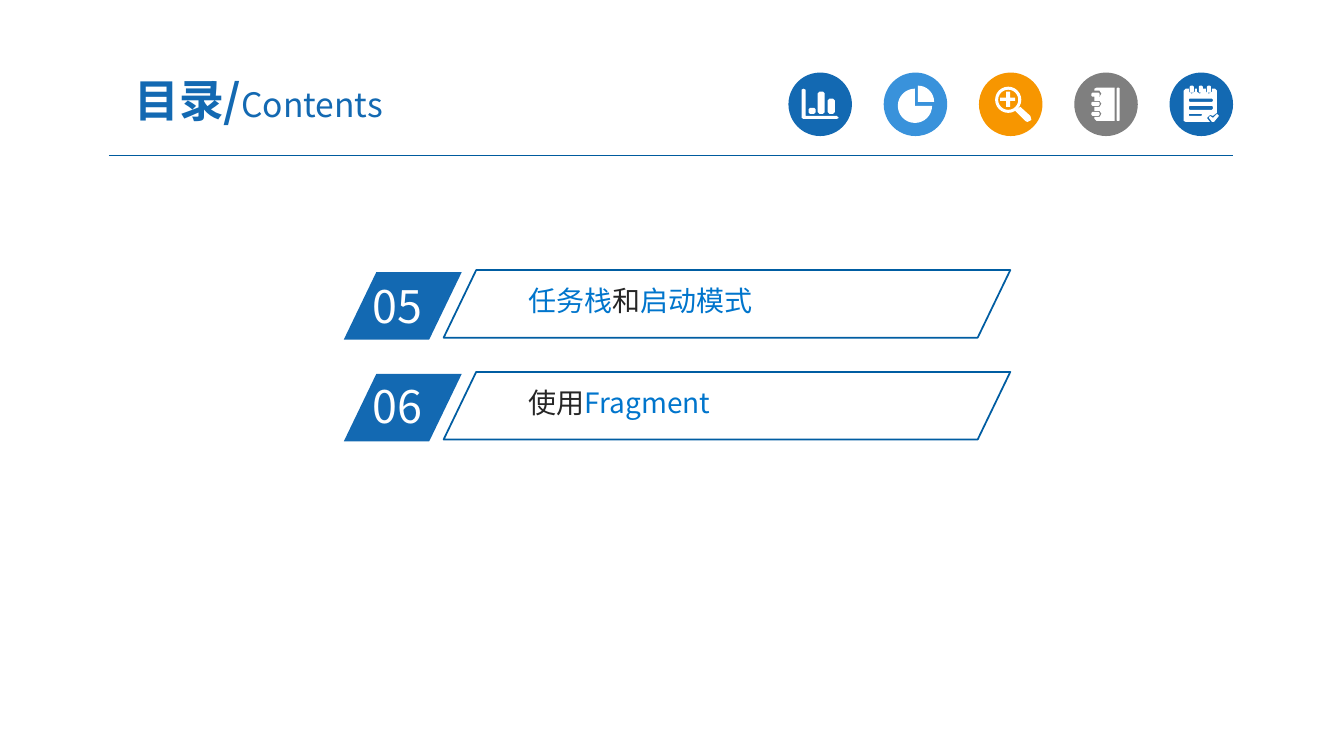
from dataclasses import dataclass
from math import cos, radians, sin

from lxml.etree import SubElement
from pptx import Presentation
from pptx.dml.color import RGBColor
from pptx.enum.shapes import MSO_CONNECTOR, MSO_SHAPE
from pptx.enum.text import MSO_ANCHOR, MSO_AUTO_SIZE, PP_ALIGN
from pptx.oxml.ns import qn
from pptx.util import Inches, Pt


@dataclass(frozen=True)
class Theme:
    face: str = "Noto Sans CJK SC"
    blue: str = "1369B2"
    sky: str = "3992DB"
    orange: str = "F79600"
    gray: str = "7F7F7F"
    white: str = "FFFFFF"
    ink: str = "262626"
    link: str = "0075CC"
    edge: str = "005DA2"
    rule: str = "005B9E"
    big: int = 32
    mid: int = 24
    small: int = 20


T = Theme()

# Text runs: words, size, colour, bold
TITLE = [("目录/", T.big, T.blue, True), ("Contents", T.mid, T.blue, False)]

# Number, top of its text, runs of the label
ROWS = [
    ("05", 2.72, [("任务栈", T.small, T.link, False),
                  ("和", T.small, T.ink, False),
                  ("启动模式", T.small, T.link, False)]),
    ("06", 3.71, [("使用", T.small, T.ink, False),
                  ("Fragment", T.small, T.link, False)]),
]
ROW_GAP = 1.01
ICON_X, ICON_Y, ICON_GAP, DISC = 7.82, 0.72, 0.945, 0.63


def bar(x, y, wide, tall):
    """Outline of a box with trimmed corners."""
    cut = min(wide, tall) * 0.25
    right, low = x + wide, y + tall
    return [(x + cut, y), (right - cut, y), (right, y + cut),
            (right, low - cut), (right - cut, low), (x + cut, low),
            (x, low - cut), (x, y + cut)]


def arc(x, y, r, start=0, end=360, count=24):
    """Points on a circle, clockwise from the right, in degrees."""
    turns = [radians(start + (end - start) * i / count)
             for i in range(count + 1)]
    return [(x + r * cos(a), y + r * sin(a)) for a in turns]


# Each icon is a list of outlines, in inches from the corner of its disc
CHART = [
    [(0.13, 0.17), (0.15, 0.16), (0.17, 0.17), (0.17, 0.43), (0.48, 0.43),
     (0.5, 0.45), (0.48, 0.46), (0.15, 0.46), (0.13, 0.45)],
    bar(0.2, 0.35, 0.07, 0.06),
    bar(0.29, 0.19, 0.07, 0.22),
    bar(0.39, 0.26, 0.07, 0.15),
]
PIE = [
    [(0.31, 0.33)] + arc(0.31, 0.33, 0.17, 0, 270),
    [(0.34, 0.29)] + arc(0.34, 0.29, 0.16, 270, 360, 8),
]
LENS = [
    arc(0.29, 0.27, 0.13),
    arc(0.29, 0.27, 0.1),
    [(0.21, 0.25), (0.27, 0.25), (0.27, 0.19), (0.31, 0.19), (0.31, 0.25),
     (0.36, 0.25), (0.36, 0.28), (0.31, 0.28), (0.31, 0.34), (0.27, 0.34),
     (0.27, 0.28), (0.21, 0.28)],
    [(0.41, 0.34), (0.51, 0.43), (0.52, 0.47), (0.48, 0.49), (0.46, 0.48),
     (0.36, 0.38)],
]
SPINE = [(0.2, 0.16), (0.22, 0.15), (0.4, 0.15), (0.4, 0.48), (0.22, 0.48),
         (0.2, 0.46)]
for y in (0.44, 0.34, 0.24):
    SPINE += [(0.2, y), (0.25, y), (0.27, y - 0.03), (0.25, y - 0.06),
              (0.2, y - 0.06)]
BOOK = [SPINE, bar(0.42, 0.15, 0.03, 0.33)]
BOOK += [bar(0.17, y, 0.08, 0.04) for y in (0.2, 0.29, 0.39)]
PAD = [(0.14, 0.18), (0.16, 0.16)]
for x in (0.19, 0.27, 0.36):
    PAD += [(x, 0.16), (x, 0.19), (x + 0.03, 0.21), (x + 0.06, 0.19),
            (x + 0.06, 0.16)]
PAD += [(0.45, 0.16), (0.47, 0.18), (0.47, 0.4), (0.43, 0.43), (0.4, 0.42),
        (0.37, 0.45), (0.4, 0.49), (0.16, 0.49), (0.14, 0.48)]
TICK = [(0.4, 0.43), (0.43, 0.45), (0.47, 0.41), (0.49, 0.43), (0.44, 0.49),
        (0.42, 0.49), (0.39, 0.45)]
NOTES = [PAD, TICK, bar(0.19, 0.26, 0.24, 0.03), bar(0.19, 0.33, 0.24, 0.04),
         bar(0.19, 0.41, 0.13, 0.02)]
NOTES += [bar(x, 0.13, 0.04, 0.07) for x in (0.2, 0.29, 0.37)]

ICONS = [(T.blue, CHART), (T.sky, PIE), (T.orange, LENS), (T.gray, BOOK),
         (T.blue, NOTES)]


def hue(code):
    return RGBColor.from_string(code)


def inches(box):
    return [Inches(v) for v in box]


def paint(shape, fill=None, line=None):
    shape.shadow.inherit = False
    if fill:
        shape.fill.solid()
        shape.fill.fore_color.rgb = hue(fill)
    else:
        shape.fill.background()
    if line:
        shape.line.color.rgb = hue(line)
        shape.line.width = Pt(1.25)
    else:
        shape.line.fill.background()


def slant(group, box, fill=None, line=None):
    shape = group.shapes.add_shape(MSO_SHAPE.PARALLELOGRAM, *inches(box))
    shape.adjustments[0] = 0.482
    paint(shape, fill, line)


def write(para, runs):
    for words, size, color, bold in runs:
        run = para.add_run()
        run.text = words
        font = run.font
        font.name, font.size, font.bold = T.face, Pt(size), bold
        font.color.rgb = hue(color)
        east = SubElement(font._element, qn("a:ea"))
        east.set("typeface", T.face)


def label(group, box, runs, side=0.1, end=0.05):
    frame = group.shapes.add_textbox(*inches(box)).text_frame
    frame.word_wrap = True
    frame.auto_size = MSO_AUTO_SIZE.SHAPE_TO_FIT_TEXT
    frame.margin_left = frame.margin_right = Inches(side)
    frame.margin_top = frame.margin_bottom = Inches(end)
    write(frame.paragraphs[0], runs)


def head(slide):
    title = slide.shapes.title
    title.left, title.top, title.width, title.height = inches(
        (0.92, 0.63, 3.29, 0.72))
    frame = title.text_frame
    frame.auto_size = MSO_AUTO_SIZE.NONE
    frame.word_wrap = True
    frame.vertical_anchor = MSO_ANCHOR.MIDDLE
    frame.margin_left = frame.margin_right = Inches(0.13)
    frame.margin_top = frame.margin_bottom = Inches(0.07)
    para = frame.paragraphs[0]
    para.alignment = PP_ALIGN.CENTER
    write(para, TITLE)

    rule = slide.shapes.add_connector(
        MSO_CONNECTOR.STRAIGHT, *inches((1.08, 1.54, 12.23, 1.54)))
    rule.line.color.rgb = hue(T.rule)
    rule.line.width = Pt(0.75)
    SubElement(rule._element.spPr, qn("a:effectLst"))


def icons(slide):
    for i, (color, loops) in enumerate(ICONS):
        x = ICON_X + ICON_GAP * i
        group = slide.shapes.add_group_shape()
        disc = group.shapes.add_shape(
            MSO_SHAPE.OVAL, *inches((x, ICON_Y, DISC, DISC)))
        paint(disc, color)
        spots = [[inches((x + a, ICON_Y + b)) for a, b in loop]
                 for loop in loops]
        pen = group.shapes.build_freeform(*spots[0][0])
        for n, loop in enumerate(spots):
            if n:
                pen.move_to(*loop[0])
            pen.add_line_segments(loop[1:], close=True)
        paint(pen.convert_to_shape(), T.white)


def rows(slide):
    for i, (num, top, runs) in enumerate(ROWS):
        step = ROW_GAP * i
        badge = slide.shapes.add_group_shape()
        slant(badge, (3.41, 2.7 + step, 1.17, 0.67), fill=T.blue)
        label(badge, (3.6, top, 1.12, 0.64), [(num, T.big, T.white, False)])
        entry = slide.shapes.add_group_shape()
        label(entry, (5.17, 2.77 + step, 4.12, 0.41), runs, 0.07, 0.04)
        slant(entry, (4.4, 2.68 + step, 5.62, 0.67), line=T.edge)


def main():
    deck = Presentation()
    deck.slide_width, deck.slide_height = inches((13.33, 7.5))
    slide = deck.slides.add_slide(deck.slide_layouts[5])
    head(slide)
    icons(slide)
    rows(slide)
    deck.save("out.pptx")


if __name__ == "__main__":
    main()
